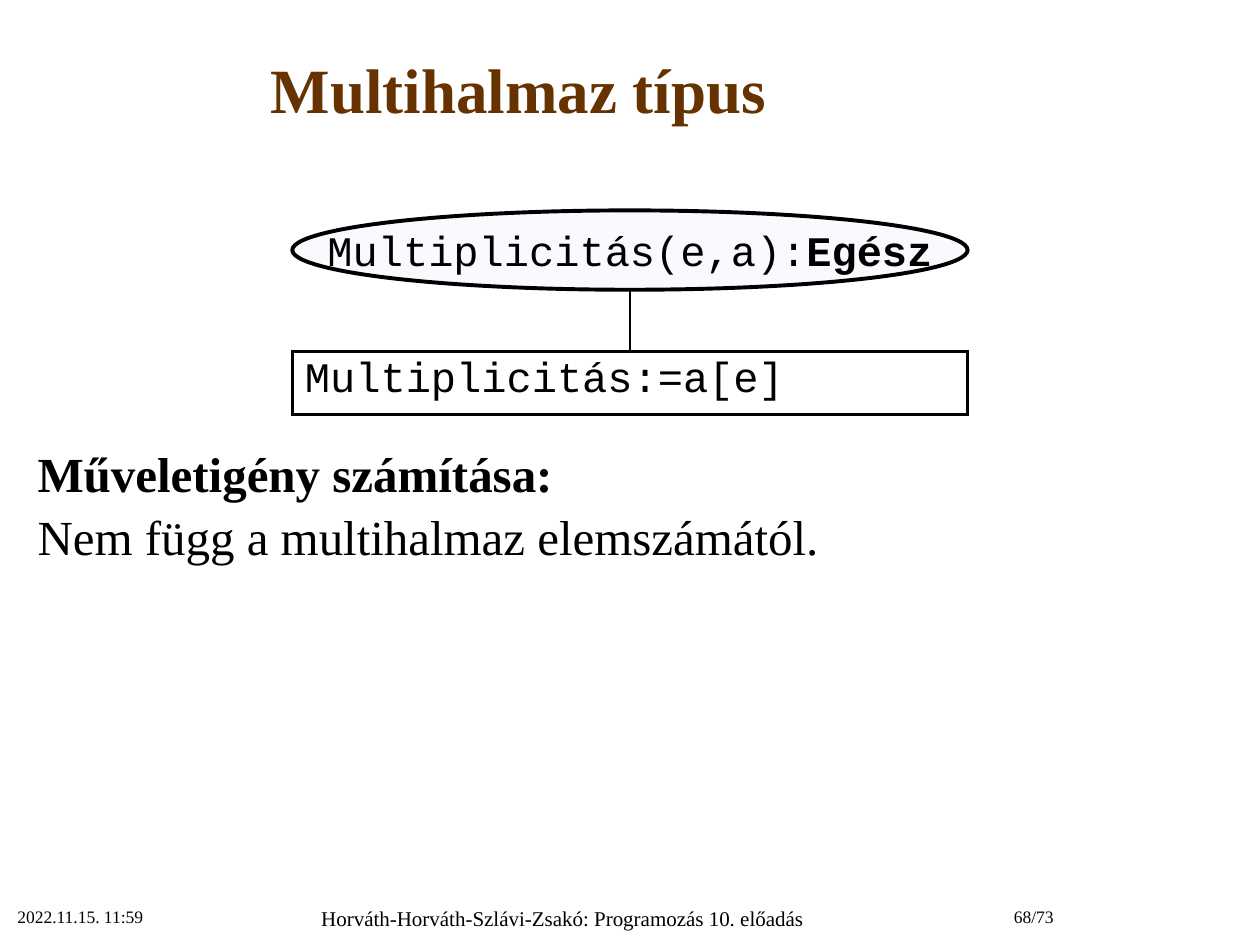
from lxml import etree
from pptx import Presentation
from pptx.dml.color import RGBColor
from pptx.enum.shapes import MSO_SHAPE
from pptx.enum.text import MSO_ANCHOR, PP_ALIGN
from pptx.oxml.ns import qn
from pptx.util import Inches, Pt

BLACK = RGBColor(0x00, 0x00, 0x00)
BROWN = RGBColor(0x66, 0x33, 0x00)
LILAC = RGBColor(0xF3, 0xE8, 0xFE)
SERIF, MONO = "Times New Roman", "Courier New"
LEFT, CENTER, RIGHT = PP_ALIGN.LEFT, PP_ALIGN.CENTER, PP_ALIGN.RIGHT
TOP, MIDDLE = MSO_ANCHOR.TOP, MSO_ANCHOR.MIDDLE
OVAL = MSO_SHAPE.OVAL
THIN, THICK = 1, 2.25


class SlideBuilder:
    """Adds styled elements to the current slide."""

    def __init__(self, slide):
        self.slide = slide
        self.font = {"name": SERIF, "size": Pt(12), "bold": False}
        self.color = BLACK

    def add_runs(self, paragraph, runs, color=None, **style):
        for text, bold in runs:
            run = paragraph.add_run()
            run.text = text
            for name, value in {**self.font, **style, "bold": bold}.items():
                setattr(run.font, name, value)
            run.font.color.rgb = color or self.color

    def text(self, box, text, align=LEFT, anchor=TOP, bold=False, **style):
        shape = self.slide.shapes.add_textbox(*map(Inches, box))
        frame = shape.text_frame
        frame.word_wrap = True
        frame.vertical_anchor = anchor
        paragraph = frame.paragraphs[0]
        paragraph.alignment = align
        self.add_runs(paragraph, [(text, bold)], **style)
        return frame

    def ellipse(self, box, runs, fill, opacity, **style):
        shape = self.slide.shapes.add_shape(OVAL, *map(Inches, box))
        shape.shadow.inherit = False
        shape.fill.solid()
        shape.fill.fore_color.rgb = fill
        color = shape._element.spPr.find(qn("a:solidFill"))[0]
        etree.SubElement(color, qn("a:alpha"), val=str(opacity * 1000))
        shape.line.color.rgb = self.color
        shape.line.width = Pt(THICK)
        frame = shape.text_frame
        frame.word_wrap = False
        frame.vertical_anchor = MIDDLE
        frame.paragraphs[0].alignment = CENTER
        self.add_runs(frame.paragraphs[0], runs, **style)

    def borders(self, cell, widths):
        properties = cell._tc.get_or_add_tcPr()
        for side in "LRTB":
            width = widths.get(side, 0)
            line = etree.SubElement(properties, qn(f"a:ln{side}"), w=str(Pt(width)))
            if width:
                solid = etree.SubElement(line, qn("a:solidFill"))
                etree.SubElement(solid, qn("a:srgbClr"), val=str(self.color))
            else:
                etree.SubElement(line, qn("a:noFill"))
        cell.fill.background()

    def structogram(self, box, row_heights, text, **style):
        shape = self.slide.shapes.add_table(2, 2, *map(Inches, box))
        table = shape.table
        table.first_row = table.horz_banding = False
        for row, height in zip(table.rows, row_heights):
            row.height = Inches(height)
        self.borders(table.cell(0, 0), {"R": THIN, "B": THICK})
        self.borders(table.cell(0, 1), {"L": THIN, "B": THICK})
        table.cell(1, 0).merge(table.cell(1, 1))
        for column in range(2):
            self.borders(table.cell(1, column), dict.fromkeys("LRTB", THICK))
        self.add_runs(table.cell(1, 0).text_frame.paragraphs[0], [(text, False)], **style)


def main():
    presentation = Presentation()
    presentation.slide_width = Inches(10)
    presentation.slide_height = Inches(7.5)
    builder = SlideBuilder(presentation.slides.add_slide(presentation.slide_layouts[6]))

    builder.text((0, 0.09, 8.23, 1.22), "Multihalmaz típus", CENTER, MIDDLE,
                 bold=True, size=Pt(36), color=BROWN)

    code = {"name": MONO, "size": Pt(24)}
    builder.structogram((2.32, 2.3, 5.36, 0.99), (0.49, 0.5), "Multiplicitás:=a[e]", **code)
    builder.ellipse((2.32, 1.67, 5.36, 0.63),
                    [("Multiplicitás(e,a):", False), ("Egész", True)], LILAC, 30, **code)

    body = builder.text((0.2, 3.47, 9.8, 1.1), "Műveletigény számítása:",
                        bold=True, size=Pt(28))
    paragraph = body.add_paragraph()
    paragraph.line_spacing = Pt(30)
    paragraph.space_before = Pt(6)
    builder.add_runs(paragraph, [("Nem függ a multihalmaz elemszámától.", False)], size=Pt(28))

    builder.text((0.04, 7.14, 2.08, 0.39), "2022.11.15. 11:59", size=Pt(10))
    builder.text((2.12, 7.14, 4.69, 0.36),
                 "Horváth-Horváth-Szlávi-Zsakó: Programozás 10. előadás", CENTER)
    builder.text((7.19, 7.14, 1.27, 0.39), "68/73", RIGHT, size=Pt(10))
    presentation.save("out.pptx")


if __name__ == "__main__":
    main()
